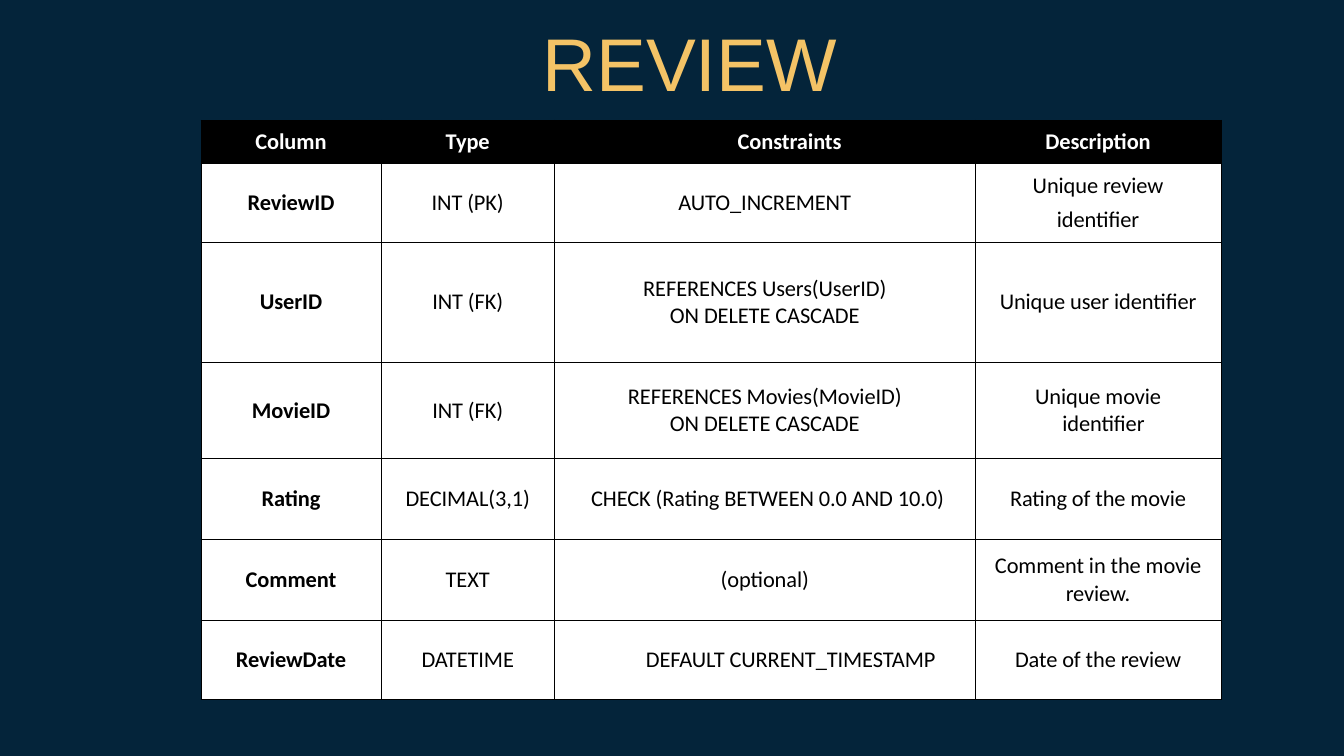
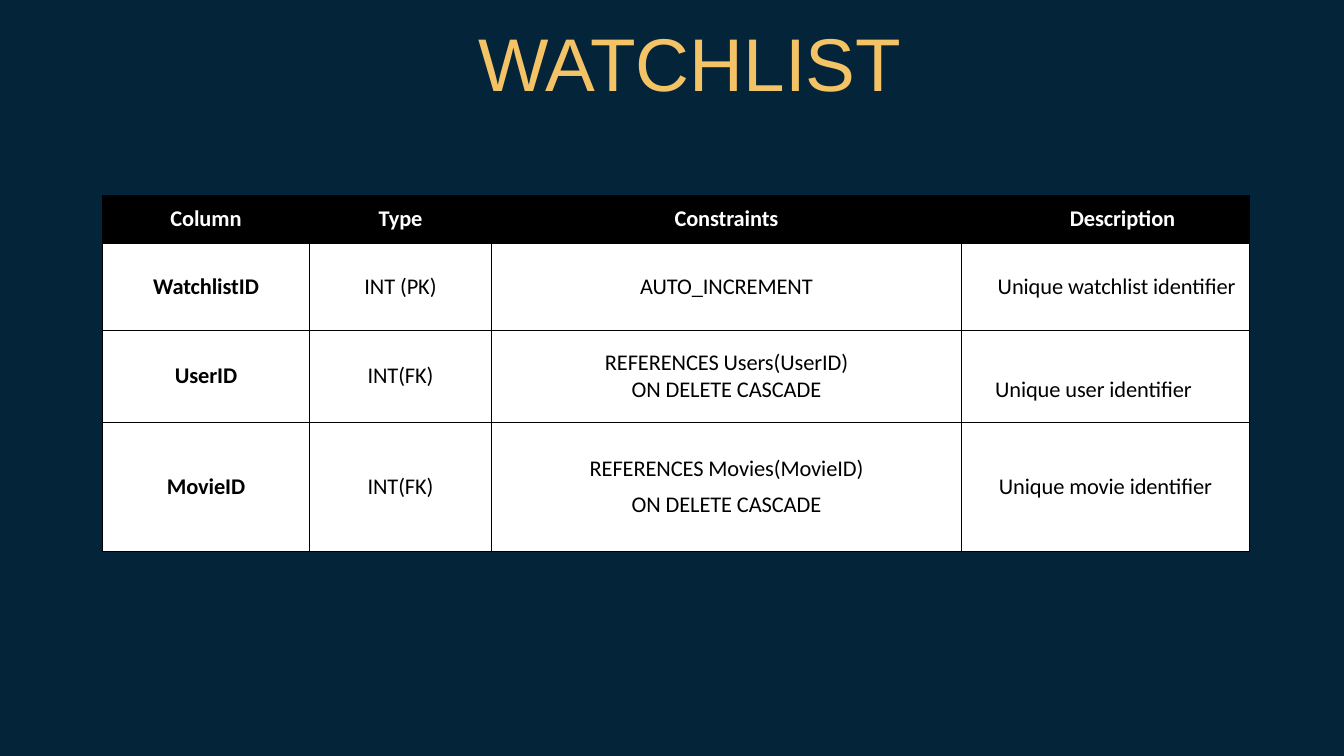
from lxml import etree
from pptx import Presentation
from pptx.dml.color import RGBColor
from pptx.enum.text import MSO_ANCHOR, MSO_AUTO_SIZE, PP_ALIGN
from pptx.oxml.ns import qn
from pptx.util import Inches, Pt

CENTER = PP_ALIGN.CENTER
MIDDLE = MSO_ANCHOR.MIDDLE
GROW = MSO_AUTO_SIZE.SHAPE_TO_FIT_TEXT

WIDTH, HEIGHT = Inches(20), Inches(11.25)
NAVY, GOLD, BLACK, WHITE = "04243A", "F4C366", "000000", "FFFFFF"
NO_INSETS = {f"margin_{side}": 0 for side in ("left", "top", "right", "bottom")}
HEADINGS = ["Column", "Type", "Constraints", "Description"]


def color(value):
    return RGBColor.from_string(value)


def apply(target, formats):
    for name, value in formats.items():
        setattr(target, name, value)


class SchemaDeck:
    """Holds the style and the current slide; lengths are percent of the slide."""

    title_font = {"name": "Arial", "size": Pt(80)}
    cell_font = {"name": "Calibri", "size": Pt(24)}

    def __init__(self):
        self.deck = Presentation()
        apply(self.deck, {"slide_width": WIDTH, "slide_height": HEIGHT})
        self.page = None

    def across(self, share):
        return round(WIDTH * share / 100)

    def down(self, share):
        return round(HEIGHT * share / 100)

    def add_page(self, title):
        self.page = self.deck.slides.add_slide(self.deck.slide_layouts[6])
        fill = self.page.background.fill
        fill.solid()
        fill.fore_color.rgb = color(NAVY)
        self.add_title(title)

    def add_title(self, title):
        box = self.page.shapes.add_textbox(
            self.across(6.95), self.down(3.47), self.across(88.75), self.down(10.93))
        apply(box.text_frame, {**NO_INSETS, "word_wrap": True, "auto_size": GROW})
        para = box.text_frame.paragraphs[0]
        apply(para, {"alignment": CENTER, "line_spacing": Pt(85.6)})
        self.add_span(para, title, self.title_font, GOLD)

    def add_span(self, para, text, font, ink, bold=False, tracking=0):
        span = para.add_run()
        span.text = text
        apply(span.font, {**font, "bold": bold})
        span.font.color.rgb = color(ink)
        if tracking:
            span.font._element.set("spc", str(tracking))

    def add_table(self, left, top, widths, heights, rows, tweaks):
        """tweaks maps (row, column) to formats of that cell."""
        rows = [HEADINGS] + rows
        table = self.page.shapes.add_table(
            len(rows), len(widths), self.across(left), self.down(top),
            self.across(sum(widths)), self.down(sum(heights))).table
        apply(table, {"first_row": False, "horz_banding": False})
        for column, width in zip(table.columns, widths):
            column.width = self.across(width)
        for row, height in zip(table.rows, heights):
            row.height = self.down(height)
        for r, texts in enumerate(rows):
            for c, text in enumerate(texts):
                self.fill_cell(table.cell(r, c), text, r == 0, c == 0,
                               **tweaks.get((r, c), {}))

    def fill_cell(self, cell, text, is_header, is_key,
                  indent=(0, 0, 0), gap=0, top=0):
        """indent gives the left, first-line and right indents in inches."""
        apply(cell, {**NO_INSETS, "margin_top": Inches(top), "vertical_anchor": MIDDLE})
        self.add_borders(cell)
        cell.fill.solid()
        cell.fill.fore_color.rgb = color(BLACK if is_header else WHITE)
        frame = cell.text_frame
        for number, line in enumerate(text.split("\n")):
            para = frame.add_paragraph() if number else frame.paragraphs[0]
            para.alignment = CENTER
            if number:
                para.space_before = Pt(gap)
            for name, length in zip(("marL", "indent", "marR"), indent):
                para._p.get_or_add_pPr().set(name, str(Inches(length)))
            self.add_span(para, line, self.cell_font, WHITE if is_header else BLACK,
                          is_header or is_key, tracking=-10)

    def add_borders(self, cell):
        properties = cell._tc.get_or_add_tcPr()
        for side in ("lnL", "lnR", "lnT", "lnB"):
            line = etree.SubElement(properties, qn(f"a:{side}"), w=str(Pt(1)))
            fill = etree.SubElement(line, qn("a:solidFill"))
            etree.SubElement(fill, qn("a:srgbClr"), val=BLACK)


def main():
    schema = SchemaDeck()

    # Review table
    schema.add_page("REVIEW")
    schema.add_table(
        left=14.95, top=15.91,
        widths=[13.4, 12.9, 31.3, 18.3],
        heights=[5.69, 10.49, 15.82, 12.8, 10.67, 10.67, 10.49],
        rows=[
            ["ReviewID", "INT (PK)", "AUTO_INCREMENT", "Unique review\nidentifier"],
            ["UserID", "INT (FK)", "REFERENCES Users(UserID)\nON DELETE CASCADE",
             "Unique user identifier"],
            ["MovieID", "INT (FK)", "REFERENCES Movies(MovieID)\nON DELETE CASCADE",
             "Unique movie identifier"],
            ["Rating", "DECIMAL(3,1)", "CHECK (Rating BETWEEN 0.0 AND 10.0)",
             "Rating of the movie"],
            ["Comment", "TEXT", "(optional)", "Comment in the movie review."],
            ["ReviewDate", "DATETIME", "DEFAULT CURRENT_TIMESTAMP", "Date of the review"],
        ],
        tweaks={
            (0, 2): {"indent": (0.74, 0, 0)},
            (1, 3): {"gap": 6.3},
            (3, 3): {"indent": (0.57, -0.16, 0.41)},
            (4, 2): {"indent": (0.08, 0, 0)},
            (6, 2): {"indent": (0.29, 0.48, 0)},
        })

    # Watchlist table
    schema.add_page("WATCHLIST")
    schema.add_table(
        left=7.6, top=25.78,
        widths=[15.45, 13.5, 35, 21.4],
        heights=[6.4, 11.56, 12.09, 17.16],
        rows=[
            ["WatchlistID", "INT (PK)", "AUTO_INCREMENT", "Unique watchlist identifier"],
            ["UserID", "INT(FK)", "REFERENCES Users(UserID)\nON DELETE CASCADE",
             "Unique user identifier"],
            ["MovieID", "INT(FK)", "REFERENCES Movies(MovieID)\nON DELETE CASCADE",
             "Unique movie identifier"],
        ],
        tweaks={
            (0, 3): {"indent": (0.51, 0, 0)},
            (1, 3): {"indent": (0.33, 0, 0)},
            (2, 3): {"indent": (0.33, 0, 0.69), "top": 0.4},
            (3, 2): {"gap": 9.5},
        })

    schema.deck.save("out.pptx")


if __name__ == "__main__":
    main()
